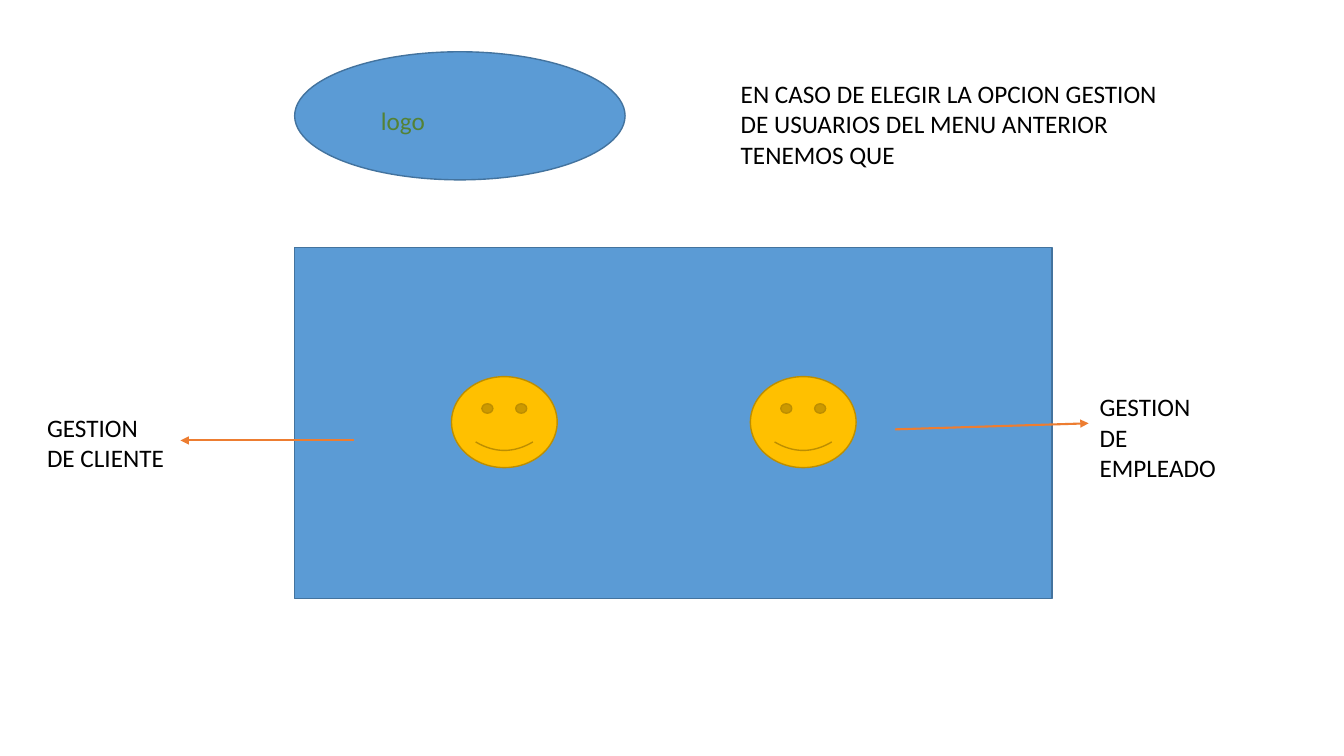
from typing import NamedTuple

from lxml.etree import SubElement
from pptx import Presentation
from pptx.dml.color import RGBColor
from pptx.enum.shapes import MSO_CONNECTOR, MSO_SHAPE
from pptx.enum.text import MSO_AUTO_SIZE
from pptx.oxml.ns import qn
from pptx.util import Pt

FONT = "Calibri"
BLUE, DARK_BLUE = "5B9BD5", "43739E"
GOLD, DARK_GOLD = "FFC000", "BD8E00"
ORANGE, GREEN, BLACK = "ED7D31", "548235", "000000"


class Box(NamedTuple):
    """Left, top, width and height in points."""
    left: float
    top: float
    width: float
    height: float


class Figure(NamedTuple):
    """A filled and outlined preset shape."""
    preset: MSO_SHAPE
    box: Box
    fill: str
    outline: str


class Label(NamedTuple):
    """A wrapped text with its colour."""
    text: str
    box: Box
    color: str = BLACK


class Arrow(NamedTuple):
    """Start and end points of an arrow, in points."""
    start: tuple[float, float]
    end: tuple[float, float]


def rgb(color: str) -> RGBColor:
    """Turn a hex string into a colour."""
    return RGBColor.from_string(color)


def draw_figure(shapes, figure: Figure) -> None:
    """Add a preset shape with a thin outline."""
    shape = shapes.add_shape(figure.preset, *map(Pt, figure.box))
    shape.shadow.inherit = False
    shape.fill.solid()
    shape.fill.fore_color.rgb = rgb(figure.fill)
    shape.line.color.rgb = rgb(figure.outline)
    shape.line.width = Pt(1)


def draw_label(shapes, label: Label) -> None:
    """Add a wrapped text box."""
    text_frame = shapes.add_textbox(*map(Pt, label.box)).text_frame
    text_frame.word_wrap = True
    text_frame.auto_size = MSO_AUTO_SIZE.SHAPE_TO_FIT_TEXT
    text_frame.text = label.text
    font = text_frame.paragraphs[0].runs[0].font
    font.name, font.size = FONT, Pt(18)
    font.color.rgb = rgb(label.color)


def draw_arrow(shapes, arrow: Arrow) -> None:
    """Add a connector with a triangle at its end."""
    connector = shapes.add_connector(
        MSO_CONNECTOR.STRAIGHT, *map(Pt, arrow.start + arrow.end))
    connector.line.color.rgb = rgb(ORANGE)
    connector.line.width = Pt(1.5)
    SubElement(connector.line._get_or_add_ln(), qn("a:tailEnd"), type="triangle")
    SubElement(connector._element.spPr, qn("a:effectLst"))


LOGO_OVAL = Figure(MSO_SHAPE.OVAL, Box(210.5, 37, 236, 91.5), BLUE, DARK_BLUE)
LOGO_LABEL = Label("logo", Box(265, 72, 126, 29), GREEN)
PANEL = Figure(MSO_SHAPE.RECTANGLE, Box(210.5, 177, 541, 250.5), BLUE, DARK_BLUE)
FACES = [Figure(MSO_SHAPE.SMILEY_FACE, Box(left, 269, 75.5, 65), GOLD, DARK_GOLD)
         for left in (322.5, 536)]
LABELS = [
    Label("EN CASO DE ELEGIR LA OPCION GESTION DE USUARIOS DEL MENU ANTERIOR "
          "TENEMOS QUE", Box(522, 52.5, 323, 73)),
    Label("GESTION DE CLIENTE", Box(26.5, 291, 98, 73)),
    Label("GESTION DE EMPLEADO", Box(778.3, 276.3, 98, 73)),
]
ARROWS = [
    Arrow((252.7, 314.6), (128.9, 314.6)),
    Arrow((639.4, 306.7), (777.6, 302.4)),
]

presentation = Presentation()
presentation.slide_width, presentation.slide_height = Pt(960), Pt(540)
slide = presentation.slides.add_slide(presentation.slide_layouts[6])

logo_shapes = slide.shapes.add_group_shape().shapes
draw_figure(logo_shapes, LOGO_OVAL)
draw_label(logo_shapes, LOGO_LABEL)
for figure in [PANEL, *FACES]:
    draw_figure(slide.shapes, figure)
for label in LABELS:
    draw_label(slide.shapes, label)
for arrow in ARROWS:
    draw_arrow(slide.shapes, arrow)

presentation.save("out.pptx")
